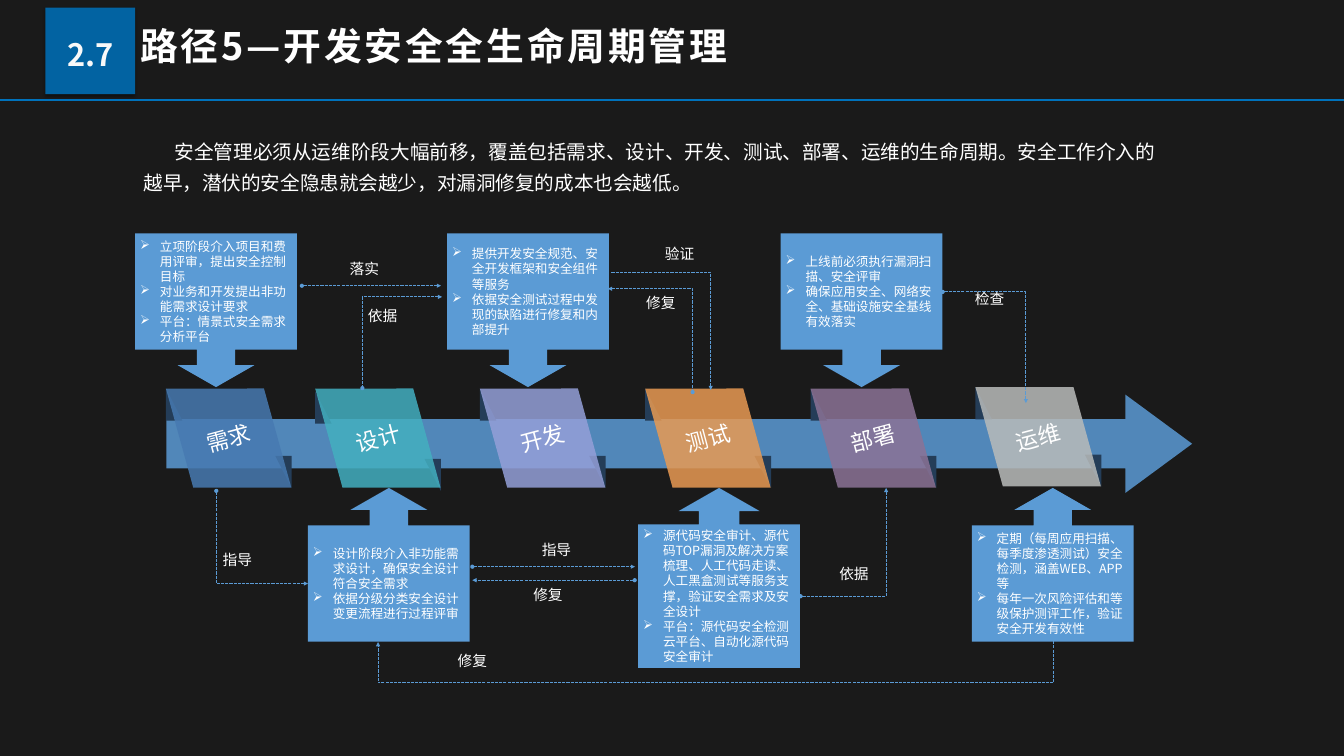
from math import cos, radians, sin

from lxml.etree import SubElement
from pptx import Presentation
from pptx.dml.color import RGBColor
from pptx.enum.dml import MSO_LINE
from pptx.enum.shapes import MSO_CONNECTOR as Link, MSO_SHAPE as Preset
from pptx.enum.text import MSO_ANCHOR as Anchor, PP_ALIGN as Align
from pptx.oxml.ns import qn
from pptx.util import Cm, Pt

FONT = "Noto Sans CJK SC"
BACKDROP = RGBColor(0x1A, 0x1A, 0x1A)
WHITE = RGBColor(0xFF, 0xFF, 0xFF)
OFF_WHITE = RGBColor(0xF9, 0xF9, 0xF9)
BRAND = RGBColor(0x00, 0x72, 0xBC)
SKY = RGBColor(0x5B, 0x9B, 0xD5)
FOLD = RGBColor(0x24, 0x3D, 0x58)
BLUE = RGBColor(0x47, 0x7A, 0xB1)
TEAL = RGBColor(0x43, 0xAF, 0xC0)
LILAC = RGBColor(0x94, 0x9F, 0xD8)
ORANGE = RGBColor(0xE8, 0x9A, 0x53)
PLUM = RGBColor(0x8B, 0x73, 0x96)
GREY = RGBColor(0xB9, 0xBB, 0xBA)

TILT = 15
CARD_WIDTH = 8.15
ARROW_EDGE = {"down": 11.76, "up": 24.59}

# name, left, top, colour, extra drop of the folds
STAGES = [
    ("需求", 8.36, 19.58, BLUE, 0),
    ("设计", 15.88, 19.58, TEAL, 0.15),
    ("开发", 24.18, 19.58, LILAC, 0),
    ("测试", 32.51, 19.58, ORANGE, 0),
    ("部署", 40.84, 19.58, PLUM, 0),
    ("运维", 49.15, 19.51, GREY, 0),
]

# direction, left, height, body share, text lines, items
CARDS = [
    ("down", 6.81, 7.75, 0.757, 7, [
        "立项阶段介入项目和费用评审，提出安全控制目标",
        "对业务和开发提出非功能需求设计要求",
        "平台：情景式安全需求分析平台"]),
    ("up", 15.52, 7.75, 0.757, 5, [
        "设计阶段介入非功能需求设计，确保安全设计符合安全需求",
        "依据分级分类安全设计变更流程进行过程评审"]),
    ("down", 22.53, 7.75, 0.757, 6, [
        "提供开发安全规范、安全开发框架和安全组件等服务",
        "依据安全测试过程中发现的缺陷进行修复和内部提升"]),
    ("up", 32.16, 9.07, 0.798, 9, [
        "源代码安全审计、源代码TOP漏洞及解决方案梳理、人工代码走读、"
        "人工黑盒测试等服务支撑，验证安全需求及安全设计",
        "平台：源代码安全检测云平台、自动化源代码安全审计"]),
    ("up", 48.97, 7.75, 0.757, 7, [
        "定期（每周应用扫描、每季度渗透测试）安全检测，涵盖WEB、APP等",
        "每年一次风险评估和等级保护测评工作，验证安全开发有效性"]),
    ("down", 39.34, 7.75, 0.757, 5, [
        "上线前必须执行漏洞扫描、安全评审",
        "确保应用安全、网络安全、基础设施安全基线有效落实"]),
]

STRAIGHT_LINKS = [
    (31.98, 29.24, 23.8, 29.24),
    (15.21, 14.4, 22.22, 14.4),
    (23.8, 28.56, 32, 28.56),
]

# begin, end, head, tail; each leaves its beginning horizontally
ELBOW_LINKS = [
    (15.52, 29.41, 10.9, 24.74, "triangle", "oval"),
    (47.5, 14.71, 51.69, 20.32, "oval", "triangle"),
    (22.28, 14.96, 18.26, 19.56, "triangle", "oval"),
    (30.63, 14.55, 34.9, 19.76, "triangle", "oval"),
    (40.34, 30.05, 44.65, 24.59, "oval", "triangle"),
    (30.81, 13.72, 35.81, 19.66, "none", "triangle"),
]

LABELS = [
    ("指导", 10.97, 27.64), ("落实", 17.37, 12.98), ("指导", 27.05, 27.13),
    ("修复", 26.62, 29.39), ("依据", 18.29, 15.32), ("修复", 32.31, 14.68),
    ("依据", 42.04, 28.35), ("修复", 22.81, 32.72), ("验证", 33.25, 12.19),
    ("检查", 48.87, 14.48),
]


def write(para, text, size, color=WHITE, bold=False, spacing=0, align=Align.LEFT,
          line=None, indent=0, hanging=0, bullet=None):
    props = para._p.get_or_add_pPr()
    props.set("marL", str(Cm(hanging)))
    props.set("indent", str(Cm(indent - hanging)))
    if bullet:
        SubElement(props, qn("a:buChar")).set("char", bullet)
    para.alignment = align
    para.space_before = para.space_after = Pt(0)
    if line:
        para.line_spacing = line
    span = para.add_run()
    span.text = text
    span.font.size = Pt(size)
    span.font.bold = bold
    span.font.color.rgb = color
    span.font.name = FONT
    run_props = span._r.get_or_add_rPr()
    SubElement(run_props, qn("a:ea")).set("typeface", FONT)
    if spacing:
        run_props.set("spc", str(spacing * 100))


def paint(shape, color, opacity=100):
    shape.shadow.inherit = False
    shape.fill.solid()
    shape.fill.fore_color.rgb = color
    shape.line.fill.background()
    if opacity < 100:
        tint = shape._element.spPr.find(qn("a:solidFill"))[0]
        SubElement(tint, qn("a:alpha")).set("val", str(opacity * 1000))


def add_preset(page, preset, left, top, width, height, color, opacity=100):
    shape = page.shapes.add_shape(preset, Cm(left), Cm(top), Cm(width), Cm(height))
    paint(shape, color, opacity)
    return shape


def add_text(page, left, top, width, height, texts, anchor=Anchor.TOP, **style):
    box = page.shapes.add_textbox(Cm(left), Cm(top), Cm(width), Cm(height))
    frame = box.text_frame
    frame.word_wrap = True
    frame.vertical_anchor = anchor
    for i, text in enumerate(texts):
        write(frame.add_paragraph() if i else frame.paragraphs[0], text, **style)


def add_link(page, kind, x1, y1, x2, y2, color=SKY, width=1.5, dashed=True,
             head="none", tail="none"):
    link = page.shapes.add_connector(kind, Cm(x1), Cm(y1), Cm(x2), Cm(y2))
    link.line.color.rgb = color
    link.line.width = Pt(width)
    if dashed:
        link.line.dash_style = MSO_LINE.SQUARE_DOT
    outline = link._element.spPr.find(qn("a:ln"))
    SubElement(outline, qn("a:headEnd")).set("type", head)
    SubElement(outline, qn("a:tailEnd")).set("type", tail)
    SubElement(link._element.spPr, qn("a:effectLst"))
    return link


def add_elbow(page, x1, y1, x2, y2, head, tail):
    link = add_link(page, Link.ELBOW, x1, y1, x2, y2, head=head, tail=tail)
    link._element.spPr.find(qn("a:prstGeom")).set("prst", "bentConnector2")


def add_return_link(page, right, left, start, end, bottom):
    rise, run = end - start, right - left
    x, y = (left + right - rise) / 2, (start + end - run) / 2
    link = add_link(page, Link.ELBOW, x, y, x + rise, y + run, tail="triangle")
    props = link._element.spPr
    props.find(qn("a:xfrm")).set("rot", str(90 * 60000))
    guide = SubElement(props.find(qn("a:prstGeom")).find(qn("a:avLst")), qn("a:gd"))
    guide.set("name", "adj1")
    guide.set("fmla", f"val {round((bottom - start) / rise * 100000)}")


def add_stage(page, name, left, top, color, drop):
    for x, y, turn in ((left + 5.51, top + 3.4, 180), (left, top, 0)):
        fold = add_preset(page, Preset.RIGHT_TRIANGLE, x, y + drop, 0.83, 1.62, FOLD)
        fold.rotation = turn
    center_x, center_y = left + 3.16, top + 2.5
    c, s = cos(radians(TILT)), sin(radians(TILT))
    corners = [(Cm(center_x + x * c - y * s), Cm(center_y + x * s + y * c))
               for x, y in ((-3.16, -2.5), (1.78, -2.5), (3.16, 2.5), (-1.78, 2.5))]
    builder = page.shapes.build_freeform(*corners[0])
    builder.add_line_segments(corners[1:])
    panel = builder.convert_to_shape()
    panel.rotation = 360 - TILT
    paint(panel, color, 85)
    panel.text_frame.vertical_anchor = Anchor.MIDDLE
    write(panel.text_frame.paragraphs[0], name, 32, align=Align.CENTER)


def add_card(page, direction, left, height, share, lines, items):
    top = ARROW_EDGE[direction]
    down = direction == "down"
    preset = Preset.DOWN_ARROW_CALLOUT if down else Preset.UP_ARROW_CALLOUT
    card = add_preset(page, preset, left, top, CARD_WIDTH, height, SKY)
    for i, value in enumerate((0.25, 0.25, 0.143, share)):
        card.adjustments[i] = value
    middle = top + height * (share / 2 if down else 1 - share / 2)
    text_height = 0.77 * lines + 0.25
    add_text(page, left, middle - text_height / 2, CARD_WIDTH, text_height, items,
             Anchor.MIDDLE, size=18, hanging=1, bullet="➢")


def add_header(page):
    add_link(page, Link.STRAIGHT, 0, 5.05, 67.72, 5.05, BRAND, 2.25, dashed=False)
    title = page.shapes.title
    title.left, title.top, title.width, title.height = Cm(6.81), Cm(1.27), Cm(58.42), Cm(3.68)
    title.text_frame.vertical_anchor = Anchor.TOP
    write(title.text_frame.paragraphs[0], "路径5—开发安全全生命周期管理", 54,
          bold=True, spacing=4, line=0.9, hanging=2.54)
    badge = add_preset(page, Preset.RECTANGLE, 2.29, 0.38, 4.52, 4.37, BRAND, 85)
    shadow = SubElement(badge._element.spPr.find(qn("a:effectLst")), qn("a:outerShdw"),
                        blurRad=str(Pt(4)), dist=str(Pt(3)), dir=str(90 * 60000))
    shade = SubElement(shadow, qn("a:srgbClr"), val="000000")
    SubElement(shade, qn("a:alpha"), val="40000")
    badge.text_frame.vertical_anchor = Anchor.MIDDLE
    write(badge.text_frame.paragraphs[0], "2.7", 44, OFF_WHITE, bold=True,
          align=Align.CENTER, line=1.2)


def main():
    deck = Presentation()
    deck.slide_width, deck.slide_height = Cm(67.72), Cm(38.1)
    page = deck.slides.add_slide(deck.slide_layouts[5])
    page.background.fill.solid()
    page.background.fill.fore_color.rgb = BACKDROP
    add_header(page)
    timeline = add_preset(page, Preset.RIGHT_ARROW, 8.38, 19.89, 51.69, 4.95, SKY, 85)
    timeline.adjustments[1] = 0.679
    for stage in STAGES:
        add_stage(page, *stage)
    add_text(page, 6.98, 6.5, 51.51, 3.51, [
        "安全管理必须从运维阶段大幅前移，覆盖包括需求、设计、开发、测试、部署、运维的生命周期。"
        "安全工作介入的越早，潜伏的安全隐患就会越少，对漏洞修复的成本也会越低。"],
        Anchor.MIDDLE, size=28, align=Align.JUSTIFY, line=1.3, indent=1.57)
    for card in CARDS:
        add_card(page, *card)
    for ends in STRAIGHT_LINKS:
        add_link(page, Link.STRAIGHT, *ends, head="oval", tail="triangle")
    for elbow in ELBOW_LINKS:
        add_elbow(page, *elbow)
    add_return_link(page, right=53.09, left=19.05, start=32.31, end=32.36, bottom=34.42)
    for text, left, top in LABELS:
        add_text(page, left, top, 2.74, 1.14, [text], size=21)
    deck.save("out.pptx")


if __name__ == "__main__":
    main()
